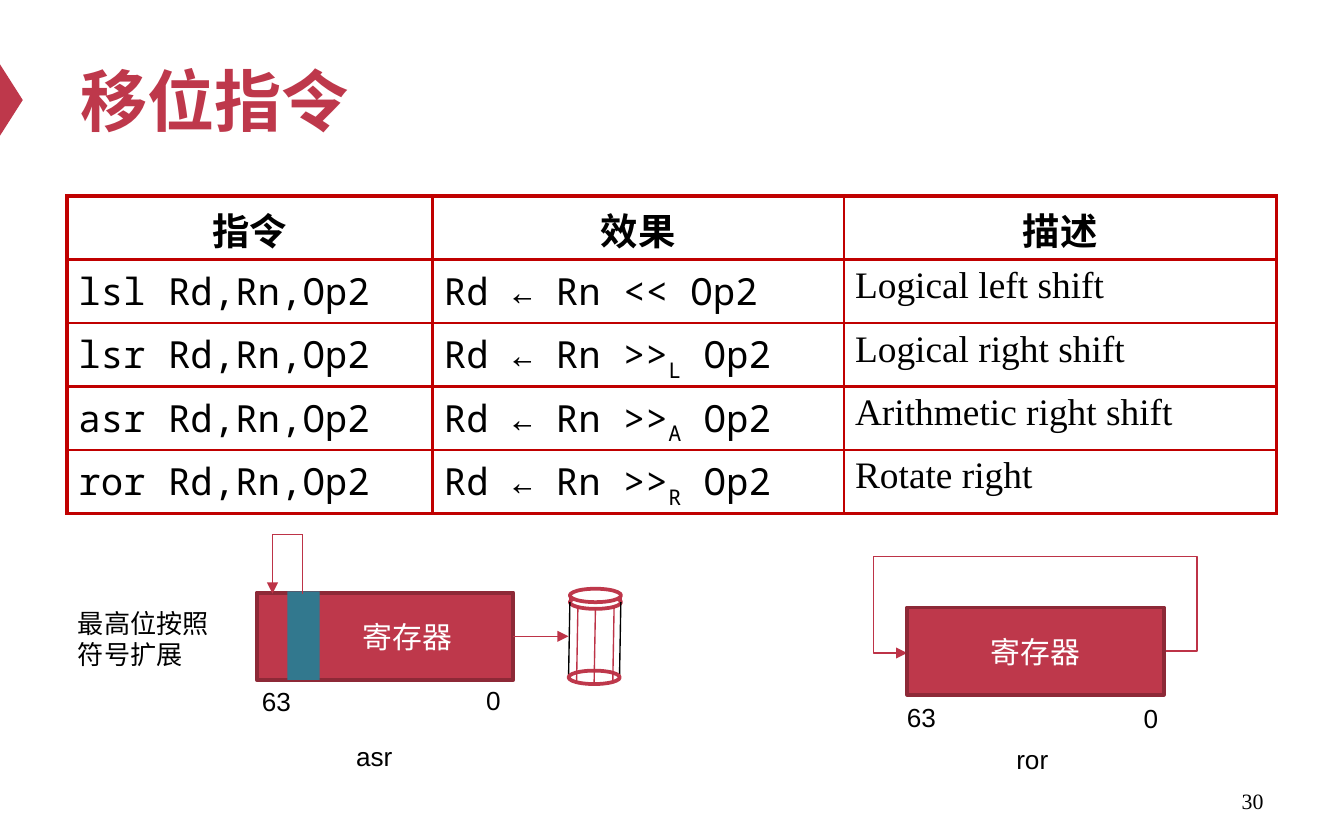
import pptx
import pptx.util
import pptx.dml.color
import pptx.enum.shapes
import pptx.enum.text
import pptx.oxml.ns
import lxml.etree
from dataclasses import dataclass

Pt = pptx.util.Pt
SHAPE = pptx.enum.shapes.MSO_SHAPE
LINE = pptx.enum.shapes.MSO_CONNECTOR
ALIGN = pptx.enum.text.PP_ALIGN
ANCHOR = pptx.enum.text.MSO_ANCHOR
qn = pptx.oxml.ns.qn


@dataclass(frozen=True)
class Theme:
    red: str = "BE384B"
    line_red: str = "BD3347"
    dark_red: str = "8D2937"
    border: str = "C00000"
    teal: str = "32788E"
    black: str = "000000"
    white: str = "FFFFFF"
    sans: str = "Arial"
    mono: str = "Noto Sans Mono"
    serif: str = "Times New Roman"
    title: float = 36
    table: float = 20
    register: float = 16
    label: float = 14
    page: float = 11.7
    thin: float = 0.75
    inner: float = 1.5
    outer: float = 2.25
    outline: float = 2


T = Theme()

TITLE = "移位指令"
HEADER = ("指令", "效果", "描述")
INSTRUCTIONS = [  # mnemonic, operator, operator subscript, description
    ("lsl", "<<", "", "Logical left shift"),
    ("lsr", ">>", "L", "Logical right shift"),
    ("asr", ">>", "A", "Arithmetic right shift"),
    ("ror", ">>", "R", "Rotate right"),
]
COLUMN_WIDTHS = (195.8, 220.3, 231.8)
TABLE_LEFT, TABLE_TOP, ROW_HEIGHT = 36, 105.1, 34

REGISTER_NAME = "寄存器"
REGISTER_SIZE = (137.5, 46.8)
ASR_REGISTER = (137.5, 317.5)
ROR_REGISTER = (486, 325.4)
SIGN_BIT = (154, 316.8, 17.3, 47.5)

LABELS = [  # text, left, top, width, height, alignment
    ("最高位按照符号扩展", 34.6, 321.8, 85, 41, ALIGN.LEFT),
    ("63", 133.2, 363.6, 31, 24.5, ALIGN.LEFT),
    ("0", 253.4, 362.9, 25.2, 24.5, ALIGN.LEFT),
    ("asr", 158, 393.1, 85, 24.5, ALIGN.CENTER),
    ("63", 478.8, 372.2, 31, 24.5, ALIGN.LEFT),
    ("0", 605.5, 373, 25.2, 24.5, ALIGN.LEFT),
    ("ror", 510.5, 394.6, 85, 24.5, ALIGN.CENTER),
]

SIGN_LOOP = [(162, 318), (162, 286.2), (146, 286.2), (146, 318)]

CAN_LEFT, CAN_RIGHT, LID_SIZE = 305.3, 332.6, (27.4, 7.2)
RIM_TOP, LID_TOP, BASE_TOP = 319, 315.4, 359.3
CAN_LEAN, CAN_DEPTH = -0.7, 40.3
RIBS = [(309.6, 324.7), (319, 326), (329, 324.7)]

prs = pptx.Presentation()
prs.slide_width, prs.slide_height = Pt(720), Pt(450)
slide = prs.slides.add_slide(prs.slide_layouts[6])
shapes = slide.shapes


def rgb(value):
    return pptx.dml.color.RGBColor.from_string(value)


def add_run(paragraph, text, size, font, color=T.black, bold=False):
    run = paragraph.add_run()
    run.text = text
    run.font.size, run.font.name, run.font.bold = Pt(size), font, bold
    run.font.color.rgb = rgb(color)
    return run


def add_text(text, box, size, font=T.sans, color=T.black, bold=False,
             align=ALIGN.LEFT, anchor=ANCHOR.TOP):
    frame = shapes.add_textbox(*map(Pt, box)).text_frame
    frame.word_wrap, frame.vertical_anchor = True, anchor
    frame.paragraphs[0].alignment = align
    add_run(frame.paragraphs[0], text, size, font, color, bold)


def add_block(kind, box, fill, outline=None):
    block = shapes.add_shape(kind, *map(Pt, box))
    block.shadow.inherit = False
    block.fill.solid()
    block.fill.fore_color.rgb = rgb(fill)
    if outline:
        block.line.color.rgb, block.line.width = rgb(outline), Pt(T.outline)
    else:
        block.line.fill.background()
    return block


def add_line(start, end, color=T.line_red, arrow=False, kind=LINE.STRAIGHT):
    line = shapes.add_connector(kind, *map(Pt, (*start, *end)))
    line.line.color.rgb, line.line.width = rgb(color), Pt(T.thin)
    properties = line._element.spPr
    if arrow:
        lxml.etree.SubElement(properties.find(qn("a:ln")), qn("a:tailEnd"), type="triangle")
    lxml.etree.SubElement(properties, qn("a:effectLst"))
    return line


def add_register(corner, text_shift=0):
    """text_shift moves the centred name to the right."""
    register = add_block(SHAPE.RECTANGLE, (*corner, *REGISTER_SIZE), T.red, T.dark_red)
    frame = register.text_frame
    frame.margin_left = Pt(7.2 + 2 * text_shift)
    frame.vertical_anchor = ANCHOR.MIDDLE
    frame.paragraphs[0].alignment = ALIGN.CENTER
    add_run(frame.paragraphs[0], REGISTER_NAME, T.register, T.sans, T.white)
    return register


def set_border(cell, side, width):
    line = lxml.etree.SubElement(cell._tc.get_or_add_tcPr(), qn("a:ln" + side),
                                 w=str(Pt(width)))
    fill = lxml.etree.SubElement(line, qn("a:solidFill"))
    lxml.etree.SubElement(fill, qn("a:srgbClr"), val=T.border)


def add_instruction_table():
    rows = [[[name] for name in HEADER]]
    for mnemonic, operator, subscript, description in INSTRUCTIONS:
        effect = ["Rd ← Rn " + operator, subscript, " Op2"]
        rows.append([[mnemonic + " Rd,Rn,Op2"], effect, [description]])
    last_row, last_column = len(rows) - 1, len(HEADER) - 1
    table = shapes.add_table(len(rows), len(HEADER), Pt(TABLE_LEFT), Pt(TABLE_TOP),
                             Pt(sum(COLUMN_WIDTHS)), Pt(ROW_HEIGHT * len(rows))).table
    table.first_row = table.horz_banding = False
    for column, width in zip(table.columns, COLUMN_WIDTHS):
        column.width = Pt(width)
    for r, row in enumerate(rows):
        table.rows[r].height = Pt(ROW_HEIGHT)
        for c, parts in enumerate(row):
            cell = table.cell(r, c)
            cell.margin_left = cell.margin_right = Pt(6)
            cell.margin_top = cell.margin_bottom = Pt(3)
            edges = {"L": c == 0, "R": c == last_column, "T": r == 0, "B": r == last_row}
            for side, is_outer in edges.items():
                set_border(cell, side, T.outer if is_outer else T.inner)
            cell.fill.background()
            paragraph = cell.text_frame.paragraphs[0]
            paragraph.alignment = ALIGN.CENTER if r == 0 else ALIGN.LEFT
            font = T.sans if r == 0 else (T.mono, T.mono, T.serif)[c]
            for i, part in enumerate(parts):
                if part:
                    run = add_run(paragraph, part, T.table, font, bold=r == 0)
                    if i == 1:
                        run.font._element.set("baseline", "-25000")


def add_can():
    def add_lid(left, top):
        add_block(SHAPE.OVAL, (left, top, *LID_SIZE), T.white, T.red)

    def add_stave(x, y, color=T.line_red):
        add_line((x, y), (x + CAN_LEAN, y + CAN_DEPTH), color)

    rim_middle, lid_middle = (top + LID_SIZE[1] / 2 for top in (RIM_TOP, LID_TOP))
    add_lid(CAN_LEFT, RIM_TOP)
    for x in (CAN_LEFT, CAN_RIGHT):
        add_stave(x, rim_middle, T.black)
    add_lid(CAN_LEFT + CAN_LEAN, BASE_TOP)
    add_lid(CAN_LEFT, LID_TOP)
    for x in (CAN_LEFT, CAN_RIGHT):
        add_line((x, lid_middle), (x, rim_middle))
    for rib in RIBS:
        add_stave(*rib)


def add_rotate_loop():
    """Five-part elbow from the low bit, over the register, to the high bit."""
    left, middle = ROR_REGISTER[0], ROR_REGISTER[1] + REGISTER_SIZE[1] / 2
    loop = add_line((left + REGISTER_SIZE[0], middle), (left, middle + 1),
                    arrow=True, kind=LINE.ELBOW)
    geometry = loop._element.spPr.find(qn("a:prstGeom"))
    geometry.set("prst", "bentConnector5")
    adjustments = geometry.find(qn("a:avLst"))
    for i, ratio in enumerate((-0.13, -51.2, 1.13), start=1):
        lxml.etree.SubElement(adjustments, qn("a:gd"), name=f"adj{i}",
                              fmla=f"val {round(ratio * 100000)}")


add_block(SHAPE.ISOSCELES_TRIANGLE, (-13, 47.5, 38.2, 12.2), T.red).rotation = 90
add_text(TITLE, (36, 18, 648, 70.6), T.title, color=T.red, bold=True, anchor=ANCHOR.MIDDLE)
add_instruction_table()
add_text("30", (516.2, 416.9, 167.8, 23.8), T.page, T.serif,
         align=ALIGN.RIGHT, anchor=ANCHOR.MIDDLE)

add_rotate_loop()
add_can()
asr_register = add_register(ASR_REGISTER, text_shift=12)
add_register(ROR_REGISTER)
for text, *box, align in LABELS:
    add_text(text, box, T.label, align=align)

asr_middle = ASR_REGISTER[1] + REGISTER_SIZE[1] / 2
shift_out = add_line((ASR_REGISTER[0] + REGISTER_SIZE[0], asr_middle),
                     (CAN_LEFT + CAN_LEAN, asr_middle), arrow=True)
shift_out.begin_connect(asr_register, 3)
add_block(SHAPE.RECTANGLE, SIGN_BIT, T.teal)
for start, end in zip(SIGN_LOOP, SIGN_LOOP[1:]):
    add_line(start, end, arrow=end == SIGN_LOOP[-1])

prs.save("out.pptx")
